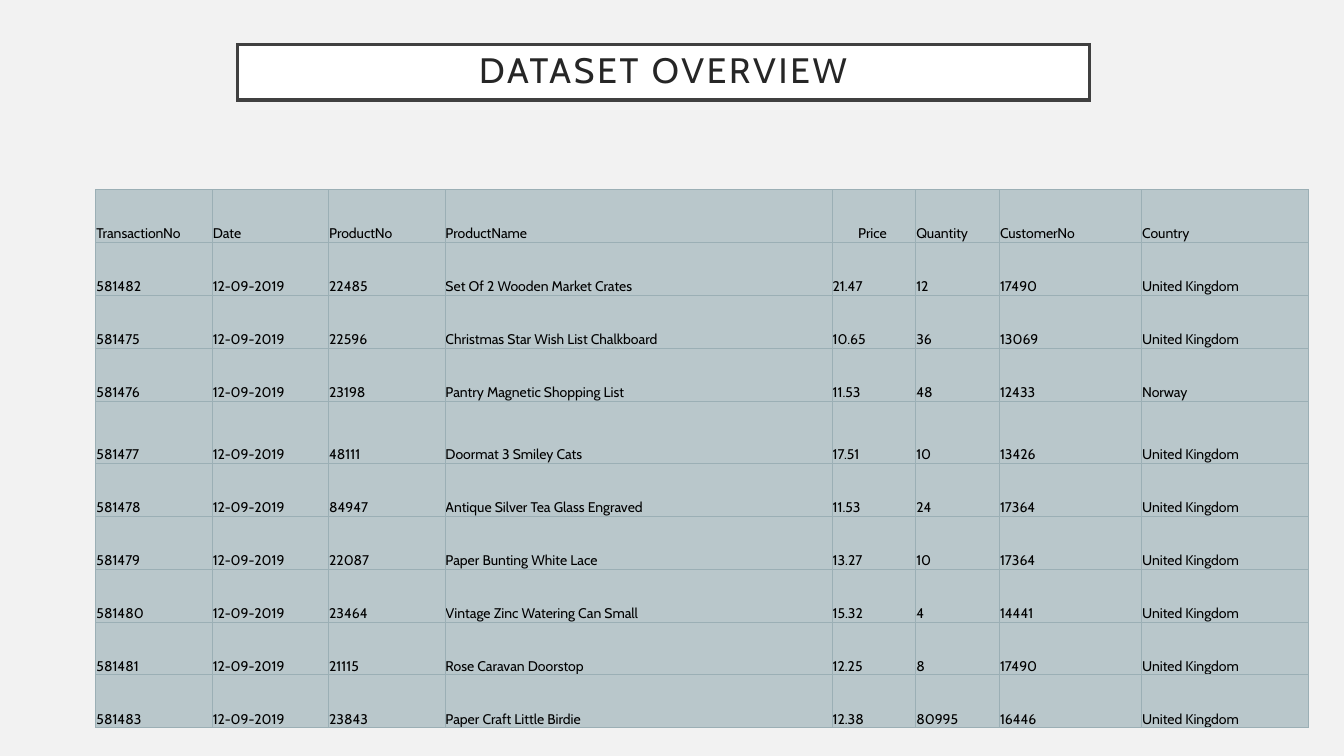
"""Build the dataset overview slide: a framed title above a table of sales."""
from pptx import Presentation
from pptx.dml.color import RGBColor
from pptx.enum.shapes import MSO_SHAPE
from pptx.enum.text import MSO_ANCHOR, MSO_AUTO_SIZE, PP_ALIGN
from pptx.oxml import parse_xml
from pptx.oxml.ns import nsdecls
from pptx.util import Inches, Pt

PAPER = RGBColor(0xF2, 0xF2, 0xF2)
WHITE = RGBColor(0xFF, 0xFF, 0xFF)
FRAME = RGBColor(0x40, 0x40, 0x40)
INK = RGBColor(0x26, 0x26, 0x26)
BLACK = RGBColor(0x00, 0x00, 0x00)
MIST = RGBColor(0xB9, 0xC7, 0xCB)
RULE = RGBColor(0x9B, 0xAF, 0xB5)

WIDE, HIGH = Inches(13.33), Inches(7.5)
COL, ROW = WIDE / 1333, HIGH / 750

SPANS = 3 * [115.4] + [384, 83, 83, 141, 165]
TALL = 10 * [52.56]
TALL[4] = 61

DATE, HOME = "12-09-2019", "United Kingdom"
HEAD = ("TransactionNo", "Date", "ProductNo", "ProductName",
        "Price", "Quantity", "CustomerNo", "Country")
SALES = [
    ("581482", DATE, "22485", "Set Of 2 Wooden Market Crates", "21.47", "12", "17490", HOME),
    ("581475", DATE, "22596", "Christmas Star Wish List Chalkboard", "10.65", "36", "13069", HOME),
    ("581476", DATE, "23198", "Pantry Magnetic Shopping List", "11.53", "48", "12433", "Norway"),
    ("581477", DATE, "48111", "Doormat 3 Smiley Cats", "17.51", "10", "13426", HOME),
    ("581478", DATE, "84947", "Antique Silver Tea Glass Engraved", "11.53", "24", "17364", HOME),
    ("581479", DATE, "22087", "Paper Bunting White Lace", "13.27", "10", "17364", HOME),
    ("581480", DATE, "23464", "Vintage Zinc Watering Can Small", "15.32", "4", "14441", HOME),
    ("581481", DATE, "21115", "Rose Caravan Doorstop", "12.25", "8", "17490", HOME),
    ("581483", DATE, "23843", "Paper Craft Little Birdie", "12.38", "80995", "16446", HOME),
]


def place(left, top, cols, rows):
    """Turn grid columns and rows into slide lengths."""
    return int(left * COL), int(top * ROW), int(cols * COL), int(rows * ROW)


def style(item, form):
    """Set each attribute named in the dict."""
    for name, value in form.items():
        setattr(item, name, value)


deck = Presentation()
style(deck, {"slide_width": WIDE, "slide_height": HIGH})
slide = deck.slides.add_slide(deck.slide_layouts[6])
slide.background.fill.solid()
slide.background.fill.fore_color.rgb = PAPER

title = slide.shapes.add_shape(MSO_SHAPE.RECTANGLE, *place(235.4, 44, 845, 55))
title.shadow.inherit = False
title.fill.solid()
title.fill.fore_color.rgb = WHITE
title.line.color.rgb = FRAME
title.line.width = Pt(2.5)
title.line._get_or_add_ln().append(parse_xml(f'<a:miter {nsdecls("a")} lim="800000"/>'))
style(title.text_frame, {
    "word_wrap": True, "auto_size": MSO_AUTO_SIZE.NONE,
    "vertical_anchor": MSO_ANCHOR.MIDDLE,
    "margin_left": int(20 * COL), "margin_right": int(20 * COL),
    "margin_top": int(5 * ROW), "margin_bottom": int(5 * ROW),
})
para = title.text_frame.paragraphs[0]
style(para, {"alignment": PP_ALIGN.CENTER, "line_spacing": 0.9})
run = para.add_run()
run.text = "DATASET OVERVIEW"
style(run.font, {"name": "Cabin", "size": Pt(25.2)})
run.font.color.rgb = INK
run.font._element.set("spc", "200")

frame = slide.shapes.add_table(len(TALL), len(SPANS), *place(95, 188, sum(SPANS), sum(TALL)))
table = frame.table
style(table, {"first_row": False, "horz_banding": False})
for col, span in zip(table.columns, SPANS):
    col.width = int(span * COL)
for row, tall in zip(table.rows, TALL):
    row.height = int(tall * ROW)

thin = int(0.7 * COL)
for row, sale in zip(table.rows, [HEAD] + SALES):
    for cell, word in zip(row.cells, sale):
        style(cell, {
            "text": word, "vertical_anchor": MSO_ANCHOR.BOTTOM,
            "margin_left": int(26 * COL) if word == "Price" else thin,
            "margin_right": thin, "margin_top": thin, "margin_bottom": 0,
        })
        cell.fill.solid()
        cell.fill.fore_color.rgb = MIST
        font = cell.text_frame.paragraphs[0].runs[0].font
        style(font, {"name": "Cabin", "size": Pt(10)})
        font.color.rgb = BLACK
        props = cell._tc.get_or_add_tcPr()
        for spot, side in enumerate("LRTB"):
            props.insert(spot, parse_xml(
                f'<a:ln{side} {nsdecls("a")} w="{Pt(0.5)}"><a:solidFill>'
                f'<a:srgbClr val="{RULE}"/></a:solidFill></a:ln{side}>'))

deck.save("out.pptx")
